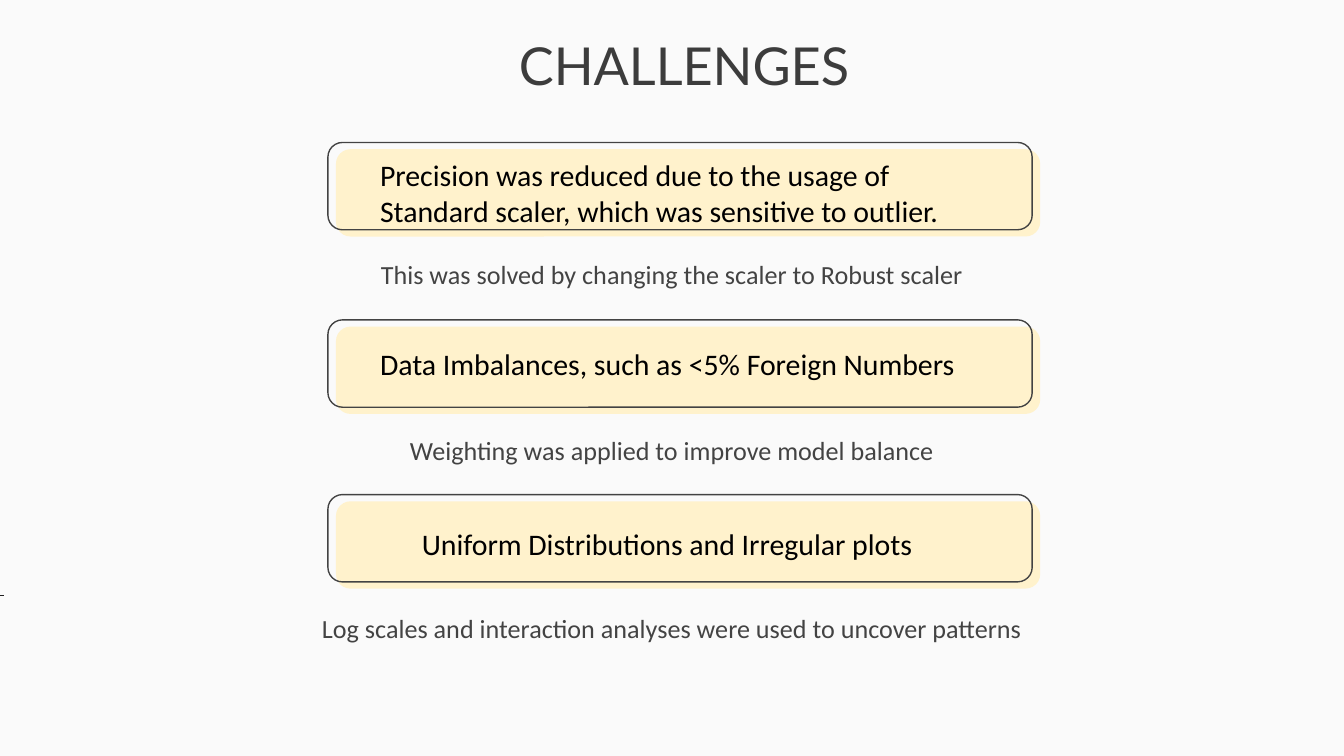
"""Build the Challenges slide: three problem cards, each followed by its solution."""
from lxml import etree
from pptx import Presentation
from pptx.dml.color import RGBColor
from pptx.enum import shapes, text
from pptx.oxml import ns
from pptx.util import Inches, Pt


def color(value):
    return RGBColor.from_string(value)


def write(shape, words, font, size, hue, alignment, margin):
    frame = shape.text_frame
    frame.word_wrap = True
    frame.auto_size = text.MSO_AUTO_SIZE.NONE
    frame.vertical_anchor = text.MSO_ANCHOR.TOP
    frame.margin_left = frame.margin_right = Inches(0.1)
    frame.margin_top = frame.margin_bottom = Inches(margin)
    paragraph = frame.paragraphs[0]
    paragraph.alignment = alignment
    run = paragraph.add_run()
    run.text = words
    run.font.name = font
    run.font.size = Pt(size)
    run.font.color.rgb = color(hue)
    return paragraph


presentation = Presentation()
presentation.slide_width = Inches(10)
presentation.slide_height = Inches(10) * 9 // 16
slide = presentation.slides.add_slide(presentation.slide_layouts[5])
slide.background.fill.solid()
slide.background.fill.fore_color.rgb = color("FAFAFA")

title = slide.shapes.title
title.left, title.top = Inches(2.44), Inches(0.2)
title.width, title.height = Inches(5.3), Inches(0.57)
write(title, "CHALLENGES", "Lato", 28, "3C3C3C", text.PP_ALIGN.CENTER, 0.05)

challenges = [
    (1.06, "Precision was reduced due to the usage of Standard scaler, which was sensitive to outlier.",
     (2.73, 1.12, 4.54, 0.64), "This was solved by changing the scaler to Robust scaler", 1.79),
    (2.38, "Data Imbalances, such as <5% Foreign Numbers",
     (2.73, 2.52, 4.54, 0.37), "Weighting was applied to improve model balance", 3.1),
    (3.68, "Uniform Distributions and Irregular plots",
     (3.04, 3.86, 3.92, 0.37), "Log scales and interaction analyses were used to uncover patterns", 4.42),
]

for card_top, problem, problem_box, solution, solution_top in challenges:
    card = slide.shapes.add_group_shape()
    for left, top in ((2.5, card_top + 0.05), (2.44, card_top)):
        panel = card.shapes.add_shape(shapes.MSO_SHAPE.ROUNDED_RECTANGLE,
                                      Inches(left), Inches(top), Inches(5.24), Inches(0.65))
        panel.shadow.inherit = False
        if top > card_top:
            panel.fill.solid()
            panel.fill.fore_color.rgb = color("FFF2CC")
            panel.line.fill.background()
        else:
            panel.fill.background()
            panel.line.color.rgb = color("434343")
            panel.line.width = Pt(0.75)

    problem_text = slide.shapes.add_textbox(*[Inches(length) for length in problem_box])
    write(problem_text, problem, "Calibri", 16, "000000", text.PP_ALIGN.LEFT, 0.05)

    solution_text = slide.shapes.add_textbox(Inches(1.94), Inches(solution_top), Inches(6.12), Inches(0.43))
    paragraph = write(solution_text, solution, "Calibri", 14, "434343", text.PP_ALIGN.CENTER, 0.1)
    paragraph.line_spacing = 1.15
    paragraph.space_after = Pt(16)

edge_mark = slide.shapes.add_connector(shapes.MSO_CONNECTOR.STRAIGHT,
                                       Inches(0), Inches(4.43), Inches(0.03), Inches(4.43))
edge_mark.line.color.rgb = color("1F1F1F")
edge_mark.line.width = Pt(0.3)
etree.SubElement(edge_mark._element.spPr, ns.qn("a:effectLst"))

presentation.save("out.pptx")
